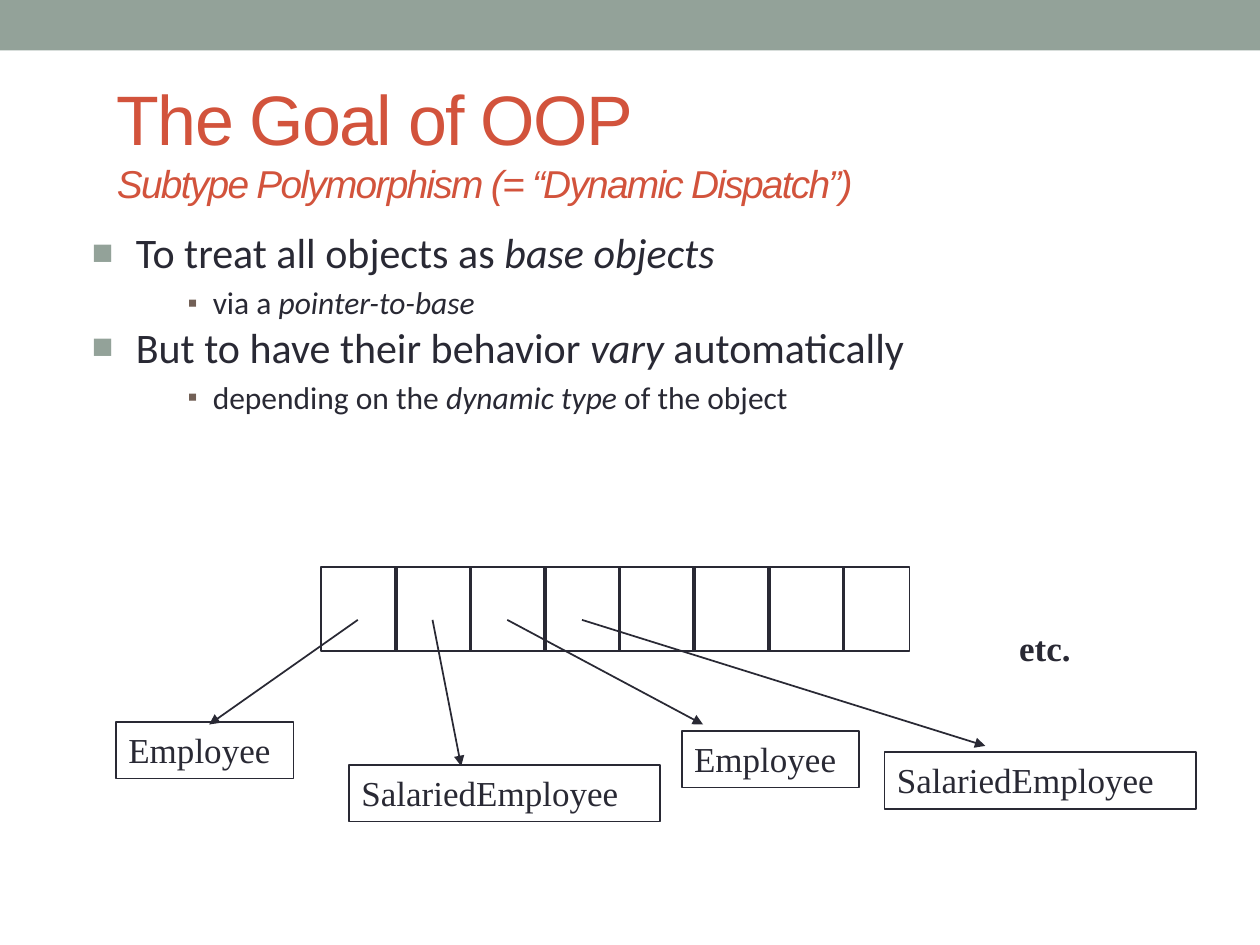
"""Builds the slide on subtype polymorphism with an array of base pointers."""
from lxml import etree
from pptx import Presentation, util as u
from pptx.dml.color import RGBColor
from pptx.enum import shapes, text
from pptx.oxml.ns import qn

INK, SAGE, RUST, BROWN, WHITE = "292934", "93A299", "D2533C", "726056", "FFFFFF"


def style(span, size, font, colour=INK, italic=False, bold=False):
    span.font.size = u.Pt(size)
    span.font.name = font
    span.font.italic = italic
    span.font.bold = bold
    span.font.color.rgb = RGBColor.from_string(colour)


def add_line(page, start, end, width, arrow=False):
    line = page.shapes.add_connector(
        shapes.MSO_CONNECTOR.STRAIGHT, *[u.Inches(v) for v in (*start, *end)])
    line.line.color.rgb = RGBColor.from_string(INK)
    line.line.width = u.Pt(width)
    if arrow:
        etree.SubElement(line.line._get_or_add_ln(), qn("a:tailEnd"), type="triangle")
    etree.SubElement(line._element.spPr, qn("a:effectLst"))


deck = Presentation()
deck.slide_width, deck.slide_height = u.Inches(10), u.Inches(7.5)
page = deck.slides.add_slide(deck.slide_layouts[6])

for place, fill, outline in [
    ((0, 0, 10, 0.4), SAGE, None),
    ((2.55, 4.5, 4.67, 0.67), WHITE, INK),
]:
    bar = page.shapes.add_shape(
        shapes.MSO_SHAPE.RECTANGLE, *[u.Inches(v) for v in place])
    bar.shadow.inherit = False
    bar.fill.solid()
    bar.fill.fore_color.rgb = RGBColor.from_string(fill)
    if outline:
        bar.line.color.rgb = RGBColor.from_string(outline)
        bar.line.width = u.Pt(1)
    else:
        bar.line.fill.background()

title = page.shapes.add_textbox(
    u.Inches(0.83), u.Inches(0.49), u.Inches(8.52), u.Inches(1.25)).text_frame
title.word_wrap = True
title.vertical_anchor = text.MSO_ANCHOR.MIDDLE
para = title.paragraphs[0]
for words, size, italic in [
    ("The Goal of OOP", 40, False),
    ("Subtype Polymorphism (= “Dynamic Dispatch”)", 22.2, True),
]:
    if para.runs:
        para.add_line_break()
    span = para.add_run()
    span.text = words
    style(span, size, "Arial", RUST, italic)
    span.font._element.set("spc", "-100")

levels = [
    dict(size=24, before=0, margin=0.48, hang=-0.35, mark="■", colour=SAGE, scale=85),
    dict(size=18, before=3.6, margin=1.09, hang=-0.2, mark="▪", colour=BROWN, scale=90),
]
points = [
    (0, [("To treat all objects as ", False), ("base objects", True)]),
    (1, [("via a ", False), ("pointer-to-base", True)]),
    (0, [("But to have their behavior ", False), ("vary", True), (" automatically", False)]),
    (1, [("depending on the ", False), ("dynamic type", True), (" of the object", False)]),
]
body = page.shapes.add_textbox(
    u.Inches(0.5), u.Inches(1.75), u.Inches(8.75), u.Inches(2.25)).text_frame
body.word_wrap = True
for index, (depth, spans) in enumerate(points):
    level = levels[depth]
    para = body.add_paragraph() if index else body.paragraphs[0]
    para.level = depth
    para.space_before = u.Pt(level["before"])
    props = para._p.get_or_add_pPr()
    props.set("marL", str(u.Inches(level["margin"])))
    props.set("indent", str(u.Inches(level["hang"])))
    bullet_colour = etree.SubElement(props, qn("a:buClr"))
    etree.SubElement(bullet_colour, qn("a:srgbClr"), val=level["colour"])
    etree.SubElement(props, qn("a:buSzPct"), val=str(level["scale"] * 1000))
    etree.SubElement(props, qn("a:buFont"), typeface="Arial")
    etree.SubElement(props, qn("a:buChar"), char=level["mark"])
    for words, italic in spans:
        span = para.add_run()
        span.text = words
        style(span, level["size"], "Calibri", italic=italic)

for divider in range(1, 8):
    x = 2.55 + divider * 0.592
    add_line(page, (x, 4.5), (x, 5.17), 2)

for slot, tip in enumerate([(1.66, 5.75), (3.66, 6.08), (5.58, 5.75), (7.82, 5.92)]):
    add_line(page, (2.84 + slot * 0.593, 4.92), tip, 1, arrow=True)

for words, left, top, width, height, framed in [
    ("Employee", 0.92, 5.73, 1.41, 0.45, True),
    ("SalariedEmployee", 2.77, 6.07, 2.47, 0.45, True),
    ("Employee", 5.41, 5.8, 1.41, 0.45, True),
    ("SalariedEmployee", 7.02, 5.97, 2.47, 0.45, True),
    ("etc.", 7.99, 4.92, 0.96, 0.43, False),
]:
    box = page.shapes.add_textbox(
        u.Inches(left), u.Inches(top), u.Inches(width), u.Inches(height))
    box.text_frame.word_wrap = True
    if framed:
        box.line.color.rgb = RGBColor.from_string(INK)
        box.line.width = u.Pt(1)
    span = box.text_frame.paragraphs[0].add_run()
    span.text = words
    style(span, 20, "Times New Roman", bold=not framed)

deck.save("out.pptx")
